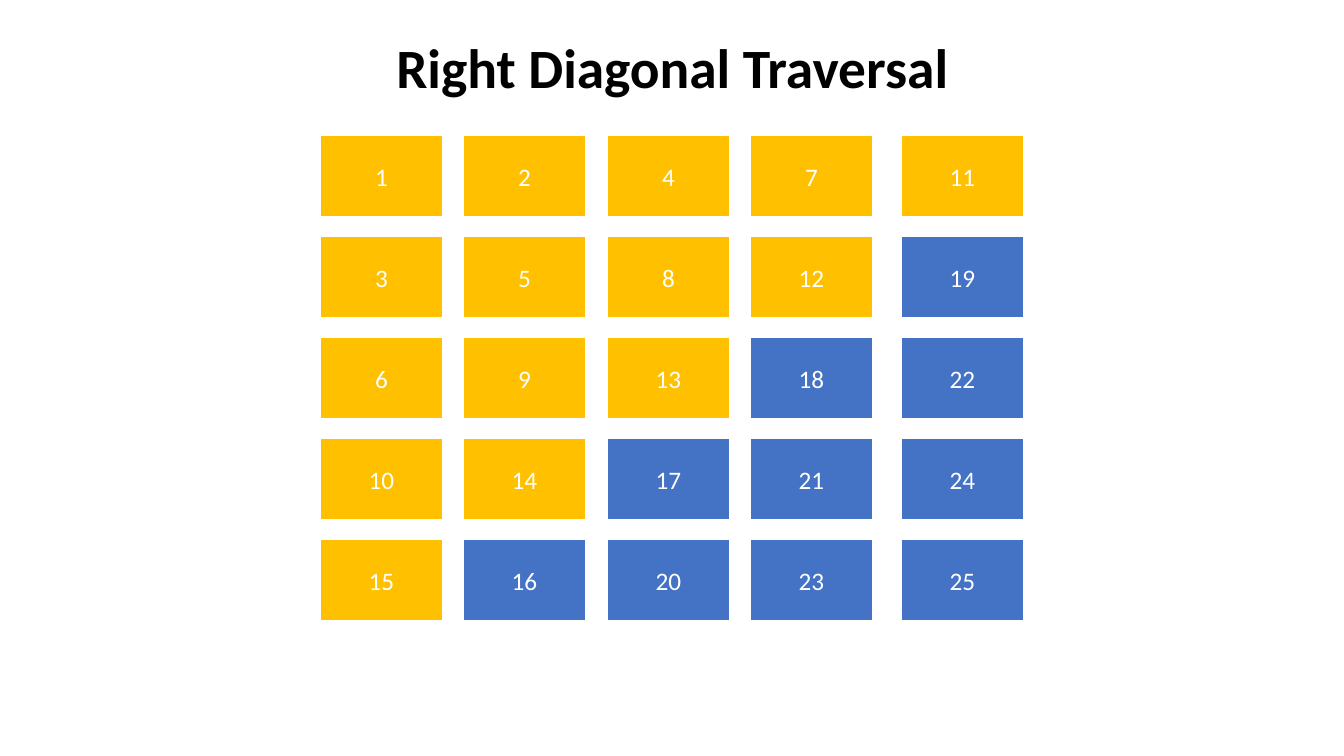
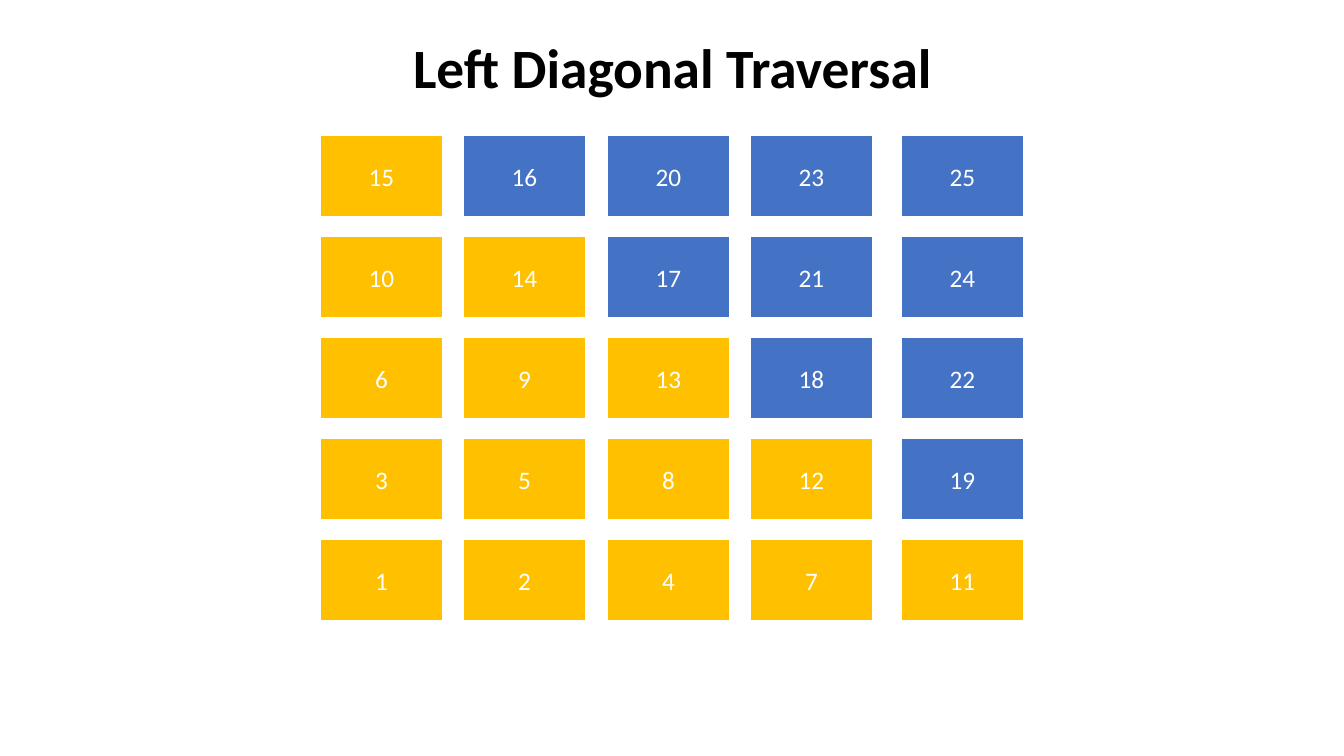
from dataclasses import dataclass
from itertools import product

from pptx import Presentation
from pptx.dml.color import RGBColor as RGB
from pptx.enum.shapes import MSO_SHAPE as Shape
from pptx.enum.text import MSO_ANCHOR as Anchor, PP_ALIGN as Align
from pptx.util import Pt

SCALE = 914400 / 100.8  # EMU per pixel


@dataclass(frozen=True)
class Theme:
    font: str = "Calibri"
    gold: RGB = RGB(0xFF, 0xC0, 0x00)
    blue: RGB = RGB(0x44, 0x72, 0xC4)
    white: RGB = RGB(0xFF, 0xFF, 0xFF)
    black: RGB = RGB(0, 0, 0)
    title: float = 39.6
    body: float = 18
    edge: float = 1.5


THEME = Theme()

# Matrix layout in pixels
SIZE = 5
LEFTS = (320, 463, 607, 750, 901)
TOP, STEP = 135, 101
WIDE, HIGH = 123, 82


def px(*vals):
    return [round(val * SCALE) for val in vals]


def write(shape, text, size, color, bold=False):
    """Put one centred line of text in a shape."""
    frame = shape.text_frame
    frame.text = text
    frame.word_wrap = True
    frame.vertical_anchor = Anchor.MIDDLE
    line = frame.paragraphs[0]
    line.alignment = Align.CENTER
    font = line.runs[0].font
    font.name, font.size, font.bold = THEME.font, Pt(size), bold
    font.color.rgb = color
    return line


def add_title(slide, text):
    box = slide.shapes.add_textbox(*px(93, 40, 1159, 62))
    line = write(box, text, THEME.title, THEME.black, bold=True)
    line.line_spacing = 0.9


def add_cell(group, row, col, num, fill):
    cell = group.shapes.add_shape(
        Shape.RECTANGLE, *px(LEFTS[col], TOP + row * STEP, WIDE, HIGH))
    cell.shadow.inherit = False
    cell.fill.solid()
    cell.fill.fore_color.rgb = fill
    cell.line.color.rgb = THEME.white
    cell.line.width = Pt(THEME.edge)
    write(cell, str(num), THEME.body, THEME.white)


def visit(spot):
    """Sort key: go down each diagonal in the first half, then up."""
    row, col = spot
    diag = row + col
    return diag, row if diag < SIZE else -row


def add_grid(slide, flip):
    group = slide.shapes.add_group_shape()
    spots = list(product(range(SIZE), repeat=2))
    order = {spot: num for num, spot in enumerate(sorted(spots, key=visit), 1)}
    for row, col in spots:
        src = SIZE - 1 - row if flip else row
        fill = THEME.gold if src + col < SIZE else THEME.blue
        add_cell(group, row, col, order[src, col], fill)


def main():
    deck = Presentation()
    deck.slide_width, deck.slide_height = px(1344, 756)
    blank = deck.slide_layouts[6]
    # One slide per direction; the left one starts at the bottom row
    for side, flip in (("Right", False), ("Left", True)):
        slide = deck.slides.add_slide(blank)
        add_grid(slide, flip)
        add_title(slide, f"{side} Diagonal Traversal")
    deck.save("out.pptx")


main()
